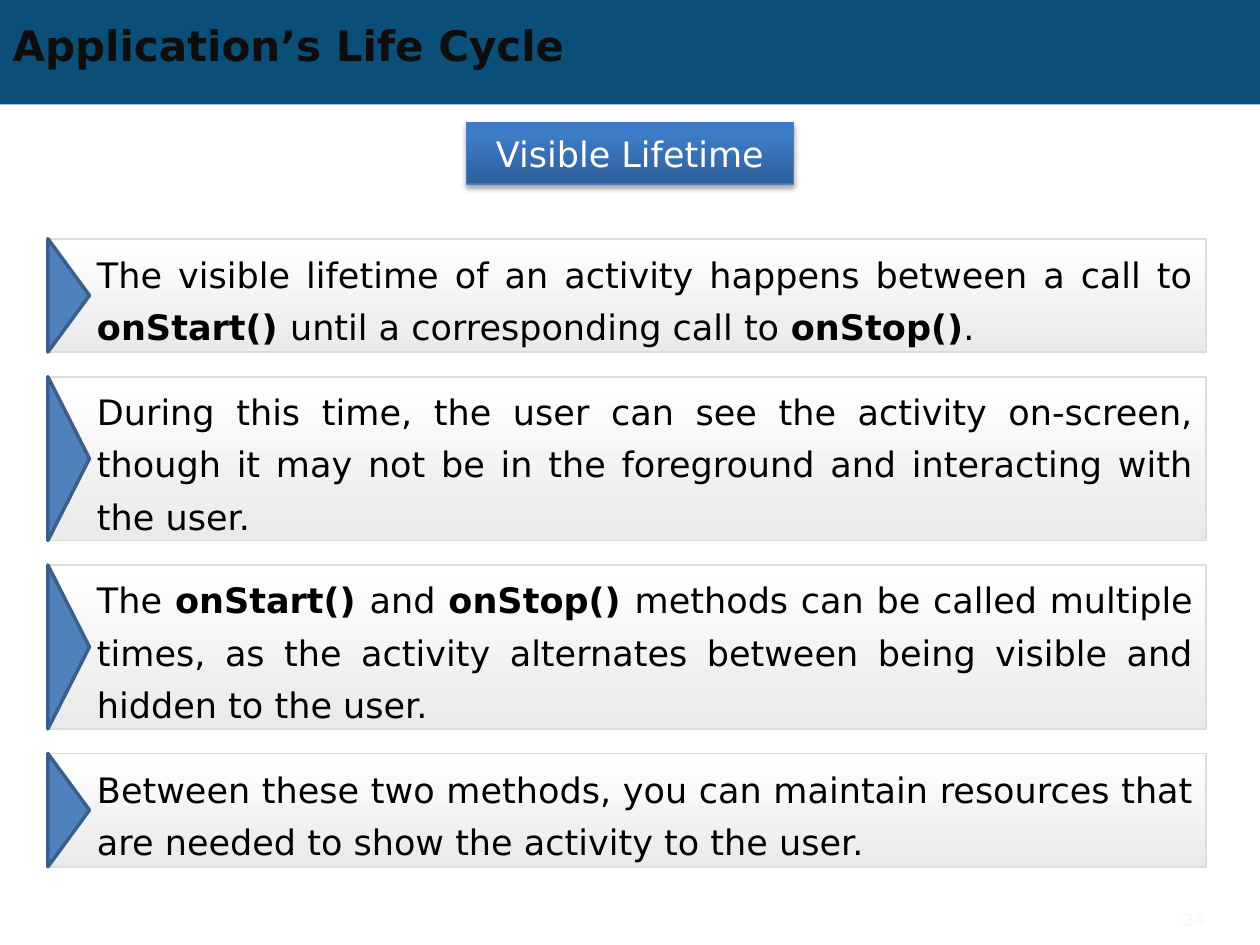
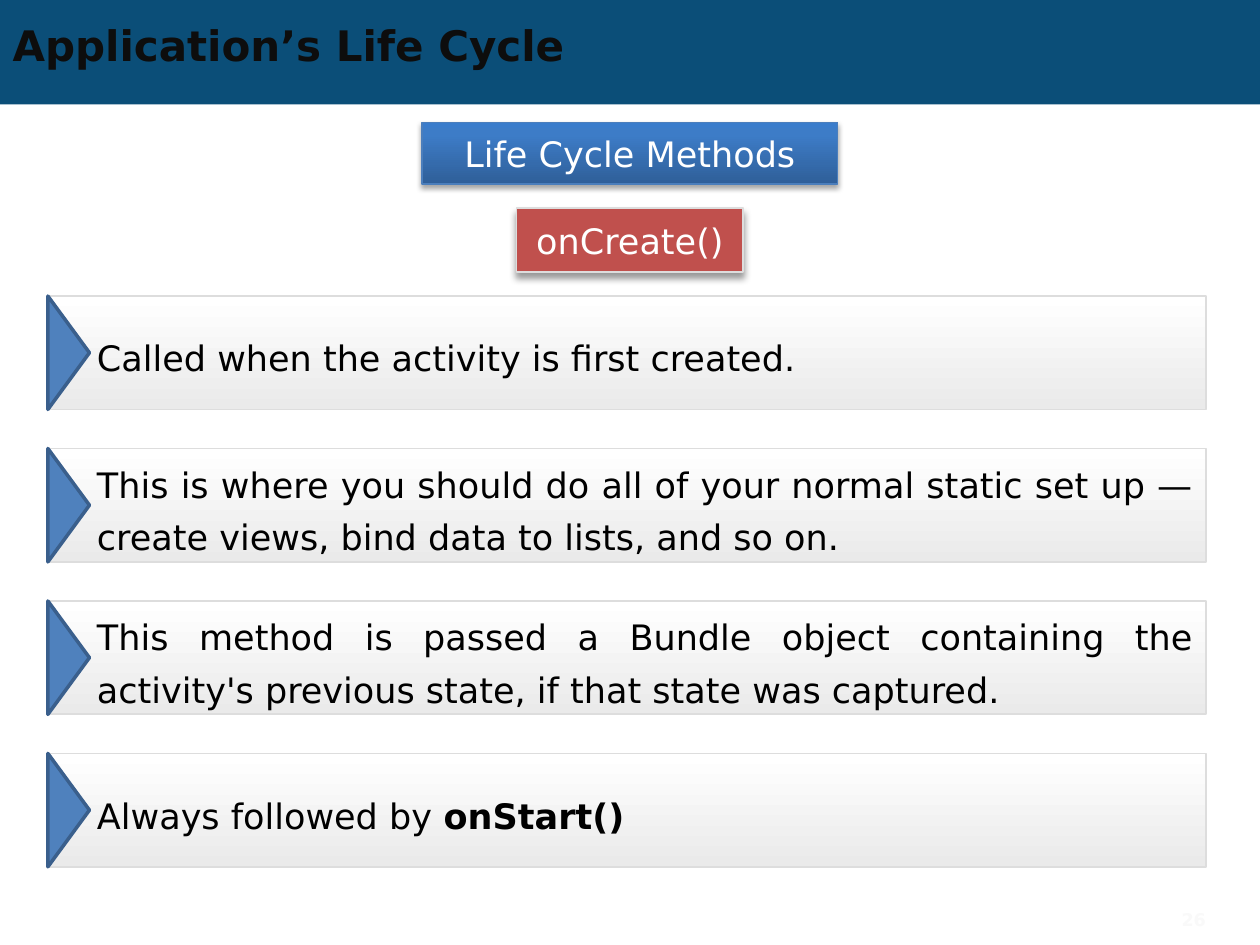
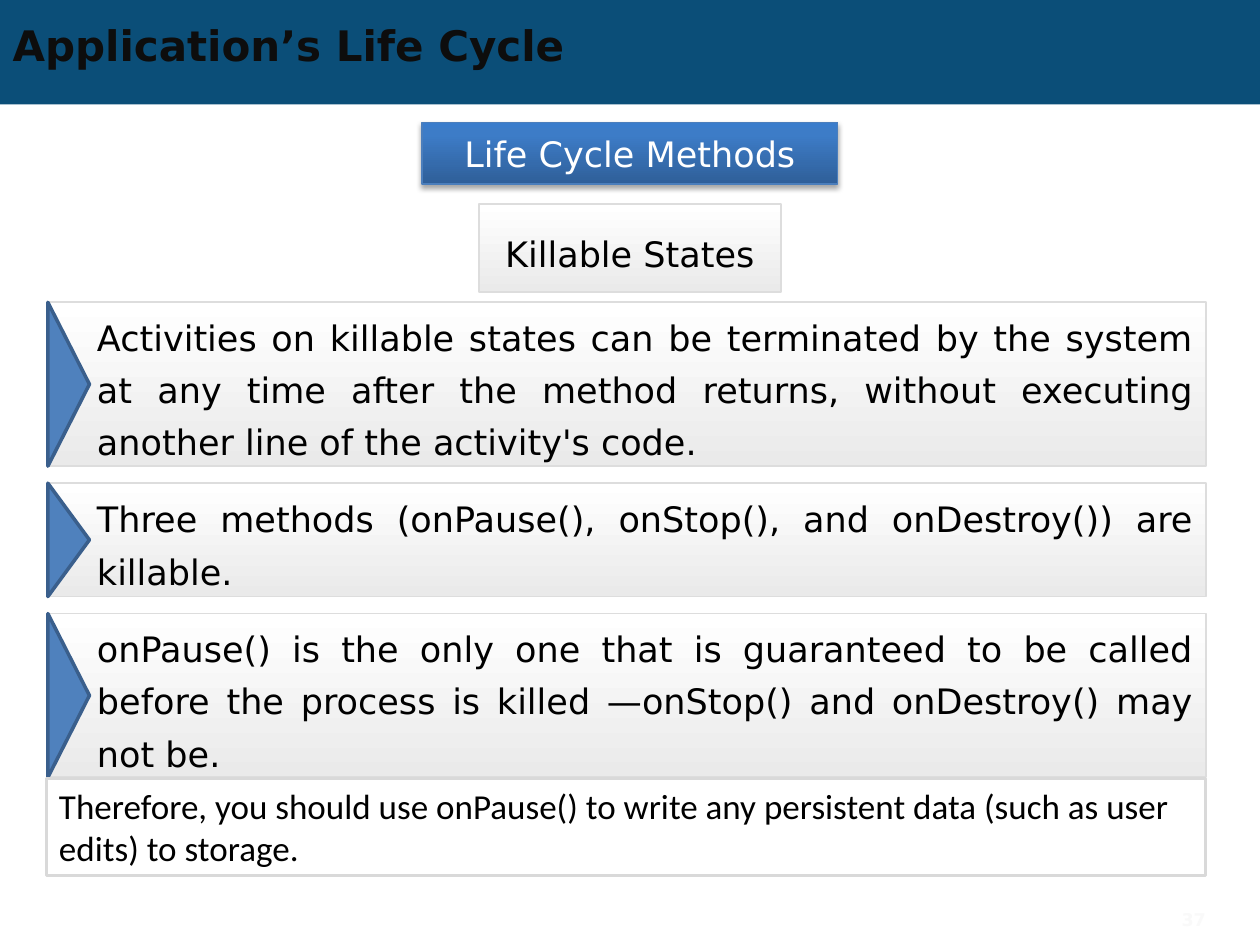
from lxml.etree import SubElement
from pptx import Presentation
from pptx.dml.color import RGBColor
from pptx.enum.shapes import MSO_SHAPE as Shape
from pptx.enum.text import MSO_ANCHOR as Anchor, MSO_AUTO_SIZE as AutoSize, PP_ALIGN as Align
from pptx.oxml.ns import qn
from pptx.util import Inches, Pt

NAVY = RGBColor(0x0B, 0x4E, 0x78)
INK = RGBColor(0x0D, 0x0D, 0x0D)
BLACK = RGBColor(0, 0, 0)
WHITE = RGBColor(0xFF, 0xFF, 0xFF)
FAINT = RGBColor(0xF9, 0xF9, 0xF9)
SILVER = RGBColor(0xDD, 0xDD, 0xDD)
GREY = RGBColor(0xD9, 0xD9, 0xD9)
MIST = RGBColor(0xEA, 0xEA, 0xEA)
RED = RGBColor(0xC0, 0x50, 0x4D)
BLUE = RGBColor(0x4F, 0x81, 0xBD)
BLUE_EDGE = RGBColor(0x3A, 0x5F, 0x8C)
LABEL_EDGE = RGBColor(0x4B, 0x7E, 0xBC)
LABEL_DARK = RGBColor(0x2F, 0x5F, 0x99)
LABEL_MID = RGBColor(0x3D, 0x7C, 0xC7)
LABEL_TOP = RGBColor(0x3A, 0x7C, 0xCB)

# Gradients: angle counterclockwise, then (percent, colour) stops
PALE_FADE = (270, [(0, WHITE), (100, MIST)])
LABEL_FADE = (90, [(0, LABEL_DARK), (80, LABEL_MID), (100, LABEL_TOP)])

COLUMNS, ROWS = 100, 75
BAR_LEFT, BAR_WIDTH = 3.7, 92
BAR_HEIGHTS = {2: 9, 3: 13}  # rows needed for two or three lines of text
MARK_WIDTH = 3.3

BODY = {"name": "DejaVu Sans", "size": Pt(20), "bold": False}
TITLE = {"name": "DejaVu Sans", "size": Pt(24), "bold": True}
NUMBER = {"name": "DejaVu Sans", "size": Pt(10), "bold": True}
NOTE = {"name": "Calibri", "size": Pt(20), "bold": False}
CENTRED = {"alignment": Align.CENTER}
CENTRED_LINE = {"alignment": Align.CENTER, "line_spacing": Pt(30)}
JUSTIFIED = {"alignment": Align.JUSTIFY, "line_spacing": Pt(30)}
BAR_FRAME = {"margin_left": Inches(0.4), "margin_right": Inches(0.1),
             "margin_top": 0, "margin_bottom": 0}
TIGHT_FRAME = dict.fromkeys(
    ("margin_left", "margin_right", "margin_top", "margin_bottom"), 0)


def set_values(target, values):
    for name, value in values.items():
        setattr(target, name, value)


def set_gradient(shape, angle, stops):
    shape.fill.gradient()
    shape.fill.gradient_angle = angle
    stop_list = shape.element.spPr.find(".//" + qn("a:gsLst"))
    stop_list.clear()
    for percent, colour in stops:
        stop = SubElement(stop_list, qn("a:gs"), pos=str(percent * 1000))
        SubElement(stop, qn("a:srgbClr"), val=str(colour))


def drop_shadow(shape, opacity, blur, distance):
    effects = shape.element.spPr.find(qn("a:effectLst"))
    shadow = SubElement(effects, qn("a:outerShdw"), blurRad=str(Pt(blur)),
                        dist=str(Pt(distance)), dir="5400000", rotWithShape="0")
    colour = SubElement(shadow, qn("a:srgbClr"), val=str(BLACK))
    SubElement(colour, qn("a:alpha"), val=str(opacity * 1000))


class Deck:
    """Holds the shared style and the slide being built."""

    def __init__(self):
        self.slideshow = Presentation()
        set_values(self.slideshow, {"slide_width": Inches(10), "slide_height": Inches(7.5)})
        self.layout = self.slideshow.slide_layouts[5]
        self.page = None

    def place(self, left, top, width, height):
        column = self.slideshow.slide_width / COLUMNS
        row = self.slideshow.slide_height / ROWS
        return [round(share * unit) for share, unit in
                zip((left, top, width, height), (column, row, column, row))]

    def add_text(self, shape, text, font, colour, line=None, frame=None):
        """Set one paragraph; parts between asterisks are bold."""
        holder = shape.text_frame
        set_values(holder, {"word_wrap": True, "vertical_anchor": Anchor.MIDDLE,
                            **(frame or {})})
        para = holder.paragraphs[0]
        set_values(para, line or {"alignment": Align.LEFT})
        for index, part in enumerate(text.split("*")):
            if part:
                span = para.add_run()
                span.text = part
                set_values(span.font, font)
                span.font.color.rgb = colour
                if index % 2:
                    span.font.bold = True

    def shape(self, kind, area, fill, edge=None, weight=1, parent=None):
        shape = (parent or self.page).shapes.add_shape(kind, *self.place(*area))
        shape.shadow.inherit = False
        if isinstance(fill, RGBColor):
            shape.fill.solid()
            shape.fill.fore_color.rgb = fill
        else:
            set_gradient(shape, *fill)
        if edge is None:
            shape.line.fill.background()
        else:
            shape.line.color.rgb = edge
            shape.line.width = Pt(weight)
        return shape

    def add_band(self):
        """Put the title band on the layout, behind its placeholders."""
        band = self.shape(Shape.RECTANGLE, (0, 0, COLUMNS, 8.3), NAVY)
        self.layout.shapes.element.insert(2, band.element)

    def start_page(self, title, number):
        first = self.page is None
        self.page = self.slideshow.slides.add_slide(self.layout)
        if first:
            self.add_band()
        heading = self.page.shapes.title
        set_values(heading, dict(zip(("left", "top", "width", "height"),
                                     self.place(0, 1.4, 90, 4.3))))
        self.add_text(heading, title, TITLE, INK, frame={"auto_size": AutoSize.NONE})
        box = self.page.shapes.add_textbox(*self.place(85.7, 71, 10, 4))
        self.add_text(box, number, NUMBER, FAINT, {"alignment": Align.RIGHT}, TIGHT_FRAME)

    def centred_area(self, top, width, height):
        return (COLUMNS - width) / 2, top, width, height

    def topic(self, text, width):
        label = self.shape(Shape.RECTANGLE, self.centred_area(9.7, width, 4.9),
                           LABEL_FADE, LABEL_EDGE, 0.75)
        drop_shadow(label, 35, 3.1, 1.8)
        self.add_text(label, text, BODY, WHITE, CENTRED)

    def method_label(self, text):
        label = self.shape(Shape.RECTANGLE, self.centred_area(16.5, 18, 5.1), RED, SILVER)
        drop_shadow(label, 40, 4, 3)
        self.add_text(label, text, BODY, WHITE, CENTRED, TIGHT_FRAME)

    def state_label(self, text):
        label = self.shape(Shape.RECTANGLE, self.centred_area(16.2, 24, 7), PALE_FADE, SILVER)
        self.add_text(label, text, BODY, BLACK, CENTRED_LINE)

    def bar(self, text, top, height):
        group = self.page.shapes.add_group_shape()
        panel = self.shape(Shape.RECTANGLE, (BAR_LEFT, top, BAR_WIDTH, height),
                           PALE_FADE, SILVER, parent=group)
        self.add_text(panel, text, BODY, BLACK, JUSTIFIED, BAR_FRAME)
        middle_x = BAR_LEFT + 0.1 + MARK_WIDTH / 2
        middle_y = top + height / 2
        mark = self.shape(Shape.ISOSCELES_TRIANGLE,
                          (middle_x - height / 2, middle_y - MARK_WIDTH / 2,
                           height, MARK_WIDTH), BLUE, BLUE_EDGE, 2, group)
        mark.rotation = 90

    def bars(self, top, bottom, items):
        """Stack (lines, text) bars from top to bottom with equal gaps."""
        heights = [BAR_HEIGHTS[lines] for lines, _ in items]
        gap = (bottom - top - sum(heights)) / (len(items) - 1)
        for (_, text), height in zip(items, heights):
            self.bar(text, top, height)
            top += height + gap

    def note(self, text):
        box = self.shape(Shape.RECTANGLE, (BAR_LEFT, 61.8, BAR_WIDTH, 7.7), WHITE, GREY, 1.5)
        self.add_text(box, text, NOTE, BLACK, frame={"vertical_anchor": Anchor.TOP})


def main():
    deck = Deck()
    title = "Application’s Life Cycle"

    deck.start_page(title, "24")
    deck.topic("Visible Lifetime", 26)
    deck.bars(18.95, 68.8, [
        (2, "The visible lifetime of an activity happens between a call to "
            "*onStart() *until a corresponding call to *onStop()*."),
        (3, "During this time, the user can see the activity on-screen, though it may "
            "not be in the foreground and interacting with the user."),
        (3, "The *onStart() *and *onStop() *methods can be called multiple times, as the "
            "activity alternates between being visible and hidden to the user."),
        (2, "Between these two methods, you can maintain resources that are needed to "
            "show the activity to the user."),
    ])

    deck.start_page(title, "26")
    deck.topic("Life Cycle Methods", 33)
    deck.method_label("onCreate()")
    deck.bars(23.5, 68.8, [
        (2, "Called when the activity is first created."),
        (2, "This is where you should do all of your normal static set up —create views, "
            "bind data to lists, and so on."),
        (2, "This method is passed a Bundle object containing the activity's previous "
            "state, if that state was captured."),
        (2, "Always followed by *onStart()*"),
    ])

    deck.start_page(title, "37")
    deck.topic("Life Cycle Methods", 33)
    deck.bars(24, 61.7, [
        (3, "Activities on killable states can be terminated by the system at any time "
            "after the method returns, without executing another line of the "
            "activity's code."),
        (2, "Three methods (onPause(), onStop(), and onDestroy()) are killable."),
        (3, "onPause() is the only one that is guaranteed to be called before the process "
            "is killed —onStop() and onDestroy() may not be."),
    ])
    deck.note("Therefore, you should use onPause() to write any persistent data "
              "(such as user edits) to storage.")
    deck.state_label("Killable States")

    deck.slideshow.save("out.pptx")


if __name__ == "__main__":
    main()
